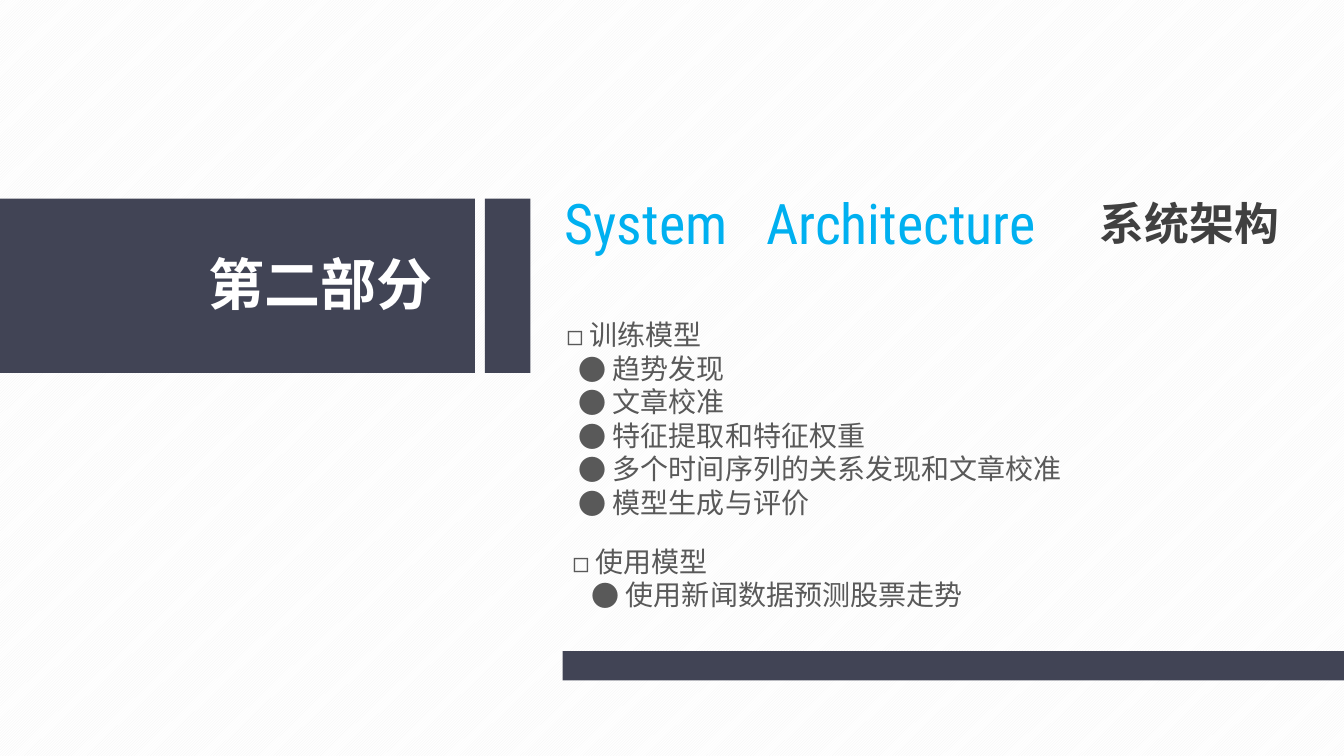
from dataclasses import dataclass

from lxml.etree import SubElement
from pptx import Presentation
from pptx.dml.color import RGBColor
from pptx.enum.dml import MSO_PATTERN
from pptx.enum.shapes import MSO_SHAPE
from pptx.enum.text import MSO_ANCHOR, MSO_AUTO_SIZE, PP_ALIGN
from pptx.oxml.ns import qn
from pptx.util import Inches, Pt


@dataclass(frozen=True)
class Theme:
    band: str = "414455"
    white: str = "FFFFFF"
    stripe: str = "F2F2F2"
    accent: str = "00B0F0"
    heading: str = "404040"
    body: str = "595959"
    chinese: str = "Noto Sans CJK SC"
    latin: str = "Roboto Condensed"
    display_size: int = 40
    heading_size: int = 32
    body_size: int = 20


THEME = Theme()
SECTION = {"name": THEME.chinese, "size": Pt(THEME.display_size), "bold": True, "color": THEME.white}
TITLE = {"name": THEME.latin, "size": Pt(THEME.display_size), "bold": False, "color": THEME.accent}
SUBTITLE = {"name": THEME.chinese, "size": Pt(THEME.heading_size), "bold": True, "color": THEME.heading}
BODY = {"name": THEME.chinese, "size": Pt(THEME.body_size), "bold": False, "color": THEME.body}

TRAINING_STEPS = ["趋势发现", "文章校准", "特征提取和特征权重", "多个时间序列的关系发现和文章校准", "模型生成与评价"]
USAGE_STEPS = ["使用新闻数据预测股票走势"]


def add_run(paragraph, text, style):
    run = paragraph.add_run()
    run.text = text
    for attribute, value in style.items():
        if attribute == "color":
            run.font.color.rgb = RGBColor.from_string(value)
        else:
            setattr(run.font, attribute, value)
    SubElement(run.font._element, qn("a:ea"), typeface=style["name"])


def add_bullet(paragraph, symbol, margin, hanging):
    properties = paragraph._p.get_or_add_pPr()
    properties.set("marL", str(Inches(margin)))
    properties.set("indent", str(-Inches(hanging)))
    SubElement(properties, qn("a:buFont"), typeface=THEME.chinese)
    SubElement(properties, qn("a:buChar"), char=symbol)


def add_band(slide, left, top, width, height):
    shape = slide.shapes.add_shape(
        MSO_SHAPE.RECTANGLE, Inches(left), Inches(top), Inches(width), Inches(height))
    shape.shadow.inherit = False
    shape.fill.solid()
    shape.fill.fore_color.rgb = RGBColor.from_string(THEME.band)
    shape.line.fill.background()


def add_text_box(slide, left, top, width, height, wrap=True):
    shape = slide.shapes.add_textbox(Inches(left), Inches(top), Inches(width), Inches(height))
    shape.text_frame.word_wrap = wrap
    return shape.text_frame


def add_section_label(slide, left, top, width, height):
    gap, tab_width = 0.1, 0.45
    add_band(slide, left, top, width, height)
    add_band(slide, left + width + gap, top, tab_width, height)
    frame = add_text_box(slide, left + 1.97, top + 0.46, 2.42, 0.77, wrap=False)
    add_run(frame.paragraphs[0], "第二部分", SECTION)


def add_heading(slide, left, top, width, height):
    title = slide.shapes.title
    placement = {"left": left, "top": top, "width": width, "height": height}
    for attribute, value in placement.items():
        setattr(title, attribute, Inches(value))
    frame = title.text_frame
    layout = {"word_wrap": True, "auto_size": MSO_AUTO_SIZE.NONE, "vertical_anchor": MSO_ANCHOR.TOP}
    for attribute, value in layout.items():
        setattr(frame, attribute, value)
    paragraph = frame.paragraphs[0]
    paragraph.alignment = PP_ALIGN.LEFT
    tabs = SubElement(paragraph._p.get_or_add_pPr(), qn("a:tabLst"))
    SubElement(tabs, qn("a:tab"), pos=str(Inches(2)), algn="l")
    add_run(paragraph, "System\tArchitecture", TITLE)

    subtitle = add_text_box(slide, left + 5.31, top + 0.07, 2.4, 0.64)
    add_run(subtitle.paragraphs[0], "系统架构", SUBTITLE)


def add_topic(slide, left, top, width, height, topic, steps, step_margin):
    frame = add_text_box(slide, left, top, width, height)
    add_bullet(frame.paragraphs[0], "◻", 0.23, 0.23)
    add_run(frame.paragraphs[0], topic, BODY)
    for step in steps:
        paragraph = frame.add_paragraph()
        add_bullet(paragraph, "●", step_margin, 0.34)
        add_run(paragraph, step, BODY)


def add_section_slide(presentation):
    slide = presentation.slides.add_slide(presentation.slide_layouts[5])
    fill = slide.background.fill
    fill.patterned()
    fill.pattern = MSO_PATTERN.LIGHT_UPWARD_DIAGONAL
    fill.fore_color.rgb = RGBColor.from_string(THEME.stripe)
    fill.back_color.rgb = RGBColor.from_string(THEME.white)
    add_section_label(slide, 0, 1.97, 4.71, 1.73)
    add_heading(slide, 5.5, 1.82, 6.38, 0.77)
    add_topic(slide, 5.52, 3.1, 5.34, 2.12, "训练模型", TRAINING_STEPS, 0.46)
    add_topic(slide, 5.58, 5.35, 4.2, 1.1, "使用模型", USAGE_STEPS, 0.53)
    add_band(slide, 5.58, 6.46, 7.75, 0.29)


def main():
    presentation = Presentation()
    presentation.slide_width = Inches(13.33)
    presentation.slide_height = Inches(7.5)
    add_section_slide(presentation)
    presentation.save("out.pptx")


if __name__ == "__main__":
    main()
